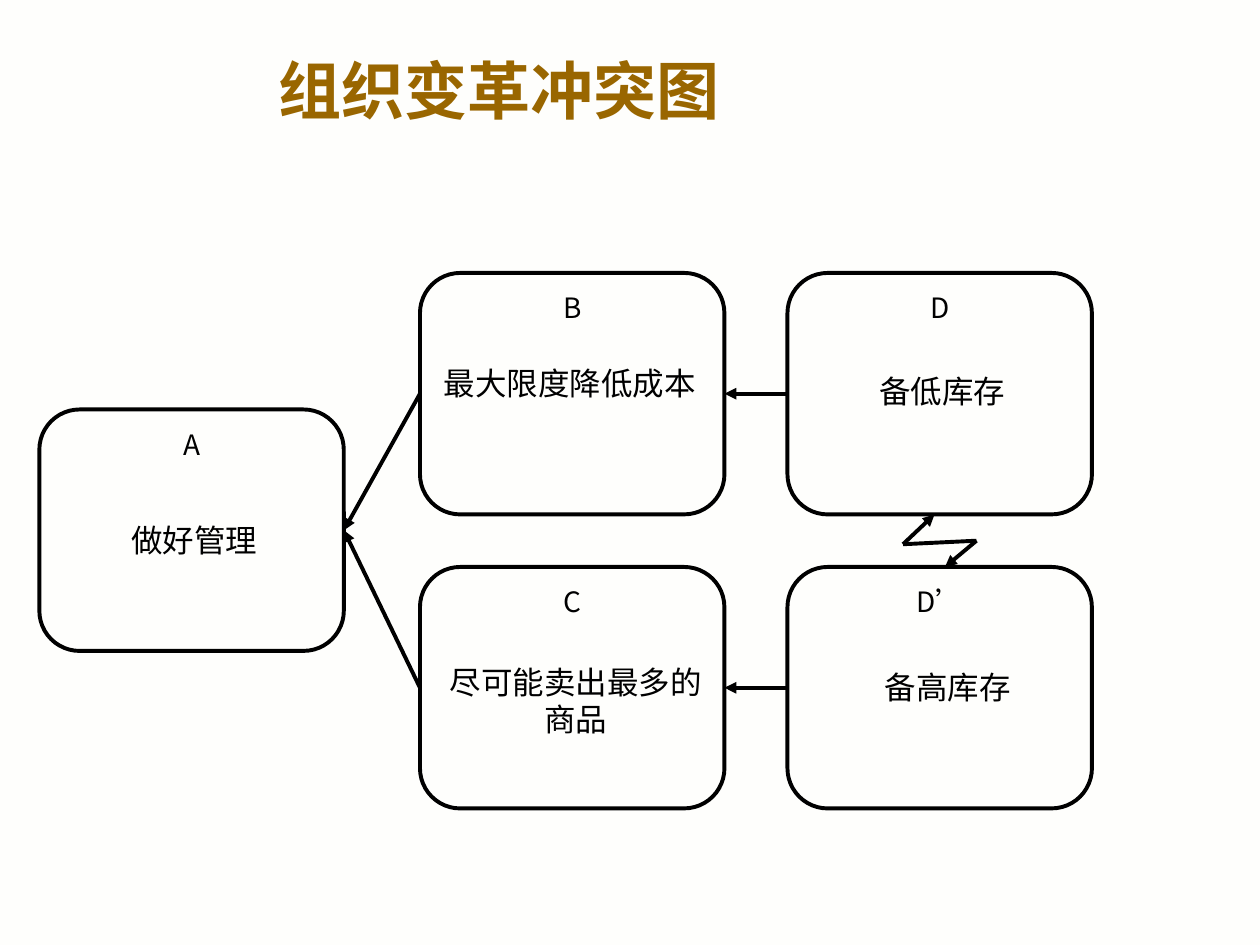
from lxml.etree import SubElement
from pptx import Presentation
from pptx.dml.color import RGBColor
from pptx.enum.shapes import MSO_CONNECTOR, MSO_SHAPE
from pptx.enum.text import MSO_ANCHOR, MSO_AUTO_SIZE, PP_ALIGN
from pptx.oxml.ns import qn
from pptx.util import Pt

COLORS = {"background": "FEFEFC", "title": "996600", "ink": "000000"}
CJK_FONT = "Noto Sans CJK SC"
TITLE_FONT = "Times New Roman"
BOX_WIDTH, BOX_HEIGHT = 174, 138
LINE_WIDTH = 2.25
TOP, LEFT, RIGHT = 0, 1, 3

BOXES = {
    "D": (450, 156),
    "D’": (450, 324),
    "C": (240, 324),
    "B": (240, 156),
    "A": (22.5, 234),
}
ARROWS = [("B", "A"), ("C", "A"), ("D", "B"), ("D’", "C")]
STATEMENTS = [
    ("备低库存", 454.5, 209, 168, 29),
    ("备高库存", 466.5, 378, 150, 29),
    ("最大限度降低成本", 238.5, 204, 174, 29),
    ("做好管理", 22.5, 294, 177, 29),
    ("尽可能卖出最多的商品", 245, 375, 168, 50.5),
]
CONFLICT_LINES = [
    ((516, 311), (534, 294), True),
    ((558, 309), (540, 324), True),
    ((516, 311), (558, 309), False),
]


def color(name):
    """Return the named colour."""
    return RGBColor.from_string(COLORS[name])


def write_text(frame, text, size, font_name=CJK_FONT, color_name="ink", bold=False):
    """Write one centred run into a text frame."""
    paragraph = frame.paragraphs[0]
    paragraph.alignment = PP_ALIGN.CENTER
    run = paragraph.add_run()
    run.text = text
    run.font.size = Pt(size)
    run.font.bold = bold
    run.font.name = font_name
    run.font.color.rgb = color(color_name)
    SubElement(run.font._element, qn("a:ea"), typeface=CJK_FONT)


def add_title(slide, text):
    """Place and format the slide title."""
    title = slide.shapes.title
    title.left, title.top, title.width, title.height = Pt(0), Pt(24), Pt(570), Pt(54)
    title.text_frame.auto_size = MSO_AUTO_SIZE.NONE
    title.text_frame.vertical_anchor = MSO_ANCHOR.MIDDLE
    write_text(title.text_frame, text, 36, TITLE_FONT, "title", True)


def add_box(slide, label, left, top):
    """Add a rounded outline box with its letter at the top."""
    shape = slide.shapes.add_shape(
        MSO_SHAPE.ROUNDED_RECTANGLE, Pt(left), Pt(top), Pt(BOX_WIDTH), Pt(BOX_HEIGHT)
    )
    shape.shadow.inherit = False
    shape.fill.background()
    shape.line.color.rgb = color("ink")
    shape.line.width = Pt(LINE_WIDTH)
    shape.text_frame.word_wrap = False
    shape.text_frame.vertical_anchor = MSO_ANCHOR.TOP
    write_text(shape.text_frame, label, 16)
    return shape


def add_statement(slide, text, left, top, width, height):
    """Add the statement that belongs to a box."""
    text_box = slide.shapes.add_textbox(Pt(left), Pt(top), Pt(width), Pt(height))
    frame = text_box.text_frame
    frame.word_wrap = True
    frame.auto_size = MSO_AUTO_SIZE.SHAPE_TO_FIT_TEXT
    frame.vertical_anchor = MSO_ANCHOR.MIDDLE
    write_text(frame, text, 18)


def add_line(shapes, start=(0, 0), end=(0, 0), arrow=True):
    """Add a straight line, with an arrowhead at its end if wanted."""
    connector = shapes.add_connector(
        MSO_CONNECTOR.STRAIGHT, *(Pt(value) for value in (*start, *end))
    )
    connector.line.color.rgb = color("ink")
    connector.line.width = Pt(LINE_WIDTH)
    if arrow:
        SubElement(connector.line._get_or_add_ln(), qn("a:tailEnd"), type="triangle")
    SubElement(connector._element.spPr, qn("a:effectLst"))
    return connector


def join_boxes(slide, source, target):
    """Point an arrow from the left of one box to the right of another."""
    connector = add_line(slide.shapes)
    connector.begin_connect(source, LEFT)
    connector.end_connect(target, RIGHT)


def main():
    """Build the conflict diagram slide."""
    presentation = Presentation()
    presentation.slide_width, presentation.slide_height = Pt(720), Pt(540)
    slide = presentation.slides.add_slide(presentation.slide_layouts[5])
    slide.background.fill.solid()
    slide.background.fill.fore_color.rgb = color("background")

    add_title(slide, "组织变革冲突图")
    boxes = {label: add_box(slide, label, *place) for label, place in BOXES.items()}
    conflict = slide.shapes.add_group_shape()
    for start, end, arrow in CONFLICT_LINES:
        add_line(conflict.shapes, start, end, arrow)
    for source, target in ARROWS:
        join_boxes(slide, boxes[source], boxes[target])
    for statement in STATEMENTS:
        add_statement(slide, *statement)
    presentation.save("out.pptx")


if __name__ == "__main__":
    main()
